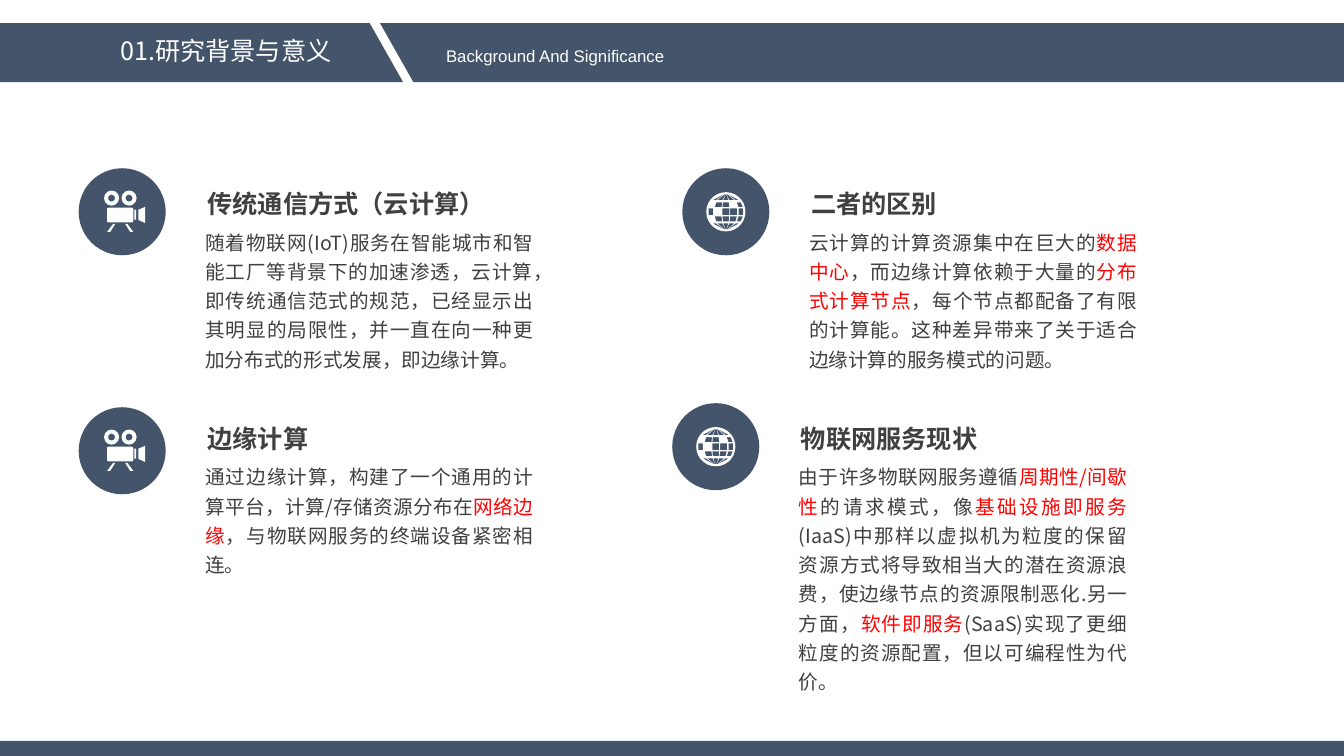
from math import cos, pi, sin, sqrt

from lxml.etree import SubElement
from pptx import Presentation
from pptx.dml.color import RGBColor
from pptx.enum.shapes import MSO_SHAPE
from pptx.enum.text import MSO_ANCHOR, PP_ALIGN
from pptx.oxml.ns import qn
from pptx.util import Pt

NAVY = RGBColor(0x44, 0x54, 0x6A)
WHITE = RGBColor(0xFF, 0xFF, 0xFF)
DARK = RGBColor(0x40, 0x40, 0x40)
RED = RGBColor(0xFF, 0x00, 0x00)
CHINESE_FONT = "Noto Sans CJK SC"

TITLE = "01.研究背景与意义"
SUBTITLE = "Background And Significance"

# Runs at odd positions of a body are highlighted.
SECTIONS = [
    {"icon": "camera", "left": 56.2, "icon_top": 120.2, "text_top": 131,
     "heading": "传统通信方式（云计算）", "height": 111.6,
     "body": ["随着物联网(IoT)服务在智能城市和智能工厂等背景下的加速渗透，云计算，即传统通信范式的规范，"
              "已经显示出其明显的局限性，并一直在向一种更加分布式的形式发展，即边缘计算。"]},
    {"icon": "camera", "left": 56.2, "icon_top": 290.9, "text_top": 298.8,
     "heading": "边缘计算", "height": 90,
     "body": ["通过边缘计算，构建了一个通用的计算平台，计算/存储资源分布在", "网络边缘",
              "，与物联网服务的终端设备紧密相连。"]},
    {"icon": "globe", "left": 487.4, "icon_top": 120.2, "text_top": 131,
     "heading": "二者的区别", "height": 111.6,
     "body": ["云计算的计算资源集中在巨大的", "数据中心", "，而边缘计算依赖于大量的", "分布式计算节点",
              "，每个节点都配备了有限的计算能。这种差异带来了关于适合边缘计算的服务模式的问题。"]},
    {"icon": "globe", "left": 480.2, "icon_top": 288, "text_top": 298.8,
     "heading": "物联网服务现状", "height": 154,
     "body": ["由于许多物联网服务遵循", "周期性/间歇性", "的请求模式，像", "基础设施即服务",
              "(IaaS)中那样以虚拟机为粒度的保留资源方式将导致相当大的潜在资源浪费，"
              "使边缘节点的资源限制恶化.另一方面，", "软件即服务",
              "(SaaS)实现了更细粒度的资源配置，但以可编程性为代价。"]},
]

ICON_SIZE = 62.2
BODY_OFFSET = 83.4
HEADING_OFFSET = 84.9
BODY_DROP = 24.5

# Camera parts, in points from the centre of the icon.
REEL_CORNERS = [(-13, -15.2), (-0.5, -15.2)]
REEL_SIZE = 10.8
LENS = [(16.5, 8), (11.5, 5.8), (11.5, -1.5), (16.5, -3.6)]
LEG = [(-8.6, 14.4), (-10.8, 14.4), (-6.5, 8.6), (-5, 8.6)]
LEG_AXIS = -1.44

# Globe panes: rows in points, columns as shares of the half width at each height.
GLOBE_RADIUS = 14
PANE_RADIUS = 12.6
PANE_ROWS = [(-12.5, -8.3), (-6.8, -3.3), (-2.4, 2.4), (3.3, 6.8), (8.3, 12.5)]
PANE_COLUMNS = [(-1, -0.74), (-0.65, -0.25), (-0.2, 0.2), (0.25, 0.65), (0.74, 1)]
SOLID_PANES = {(1, 0), (1, 3), (2, 1), (3, 0)}
RIM_POINTS = 28


def paint(shape, color):
    shape.shadow.inherit = False
    shape.fill.solid()
    shape.fill.fore_color.rgb = color
    shape.line.fill.background()


def add_preset(shapes, kind, left, top, width, height, color, adjustment=None):
    shape = shapes.add_shape(kind, Pt(left), Pt(top), Pt(width), Pt(height))
    if adjustment is not None:
        shape.adjustments[0] = adjustment
    paint(shape, color)
    return shape


def add_outline(shapes, centre, contours):
    """Draw closed contours, given relative to centre, as one white shape."""
    placed = [[(Pt(centre[0] + x), Pt(centre[1] + y)) for x, y in contour]
              for contour in contours]
    builder = shapes.build_freeform(*placed[0][0])
    for index, points in enumerate(placed):
        if index:
            builder.move_to(*points[0])
        builder.add_line_segments(points[1:], close=True)
    paint(builder.convert_to_shape(), WHITE)


def pane(row, column):
    """Corners of one globe pane, between two parallels and two meridians."""
    left_edge, right_edge = [
        [(share * sqrt(PANE_RADIUS ** 2 - y ** 2), y) for y in row] for share in column]
    return left_edge + right_edge[::-1]


def draw_camera(shapes, centre):
    x, y = centre
    for reel_x, reel_y in REEL_CORNERS:
        add_preset(shapes, MSO_SHAPE.DONUT, x + reel_x, y + reel_y,
                   REEL_SIZE, REEL_SIZE, WHITE, 0.27)
    add_preset(shapes, MSO_SHAPE.ROUNDED_RECTANGLE, x - 10.8, y - 2.9, 18.7, 10.5, WHITE, 0.1)
    add_preset(shapes, MSO_SHAPE.RECTANGLE, x + 8.6, y - 1.5, 1.4, 7.2, WHITE)
    mirrored_leg = [(2 * LEG_AXIS - leg_x, leg_y) for leg_x, leg_y in LEG]
    for part in (LENS, LEG, mirrored_leg):
        add_outline(shapes, centre, [part])


def draw_globe(shapes, centre):
    angles = [2 * pi * step / RIM_POINTS for step in range(RIM_POINTS)]
    rim = [(GLOBE_RADIUS * cos(angle), GLOBE_RADIUS * sin(angle)) for angle in angles]
    panes = [pane(row, column)
             for row_index, row in enumerate(PANE_ROWS)
             for column_index, column in enumerate(PANE_COLUMNS)
             if (row_index, column_index) not in SOLID_PANES]
    add_outline(shapes, centre, [rim] + panes)


def add_text(slide, box, runs, size, font=CHINESE_FONT, frame_format=None, paragraph_format=None):
    """Add a one-paragraph text box; runs are (text, color, bold) tuples."""
    frame = slide.shapes.add_textbox(*[Pt(value) for value in box]).text_frame
    frame_values = {"word_wrap": True, "margin_top": 0, "margin_bottom": 0,
                    "vertical_anchor": MSO_ANCHOR.MIDDLE}
    for name, value in {**frame_values, **(frame_format or {})}.items():
        setattr(frame, name, value)
    paragraph = frame.paragraphs[0]
    for name, value in (paragraph_format or {}).items():
        setattr(paragraph, name, value)
    for text, color, bold in runs:
        run = paragraph.add_run()
        run.text = text
        for name, value in {"name": font, "size": Pt(size), "bold": bold}.items():
            setattr(run.font, name, value)
        run.font.color.rgb = color
        SubElement(run.font._element, qn("a:ea"), typeface=font)


def add_section(slide, section):
    left, top = section["left"], section["icon_top"]
    icon = slide.shapes.add_group_shape().shapes
    add_preset(icon, MSO_SHAPE.OVAL, left, top, ICON_SIZE, ICON_SIZE, NAVY)
    draw = {"camera": draw_camera, "globe": draw_globe}[section["icon"]]
    draw(icon, (left + ICON_SIZE / 2, top + ICON_SIZE / 2))

    text_top = section["text_top"]
    add_text(slide, (left + HEADING_OFFSET, text_top, 216, 28.8),
             [(section["heading"], DARK, True)], 18)
    body_runs = [(text, RED if index % 2 else DARK, False)
                 for index, text in enumerate(section["body"])]
    add_text(slide, (left + BODY_OFFSET, text_top + BODY_DROP, 248.4, section["height"]),
             body_runs, 14,
             frame_format={"vertical_anchor": MSO_ANCHOR.TOP, "margin_top": Pt(5)},
             paragraph_format={"alignment": PP_ALIGN.JUSTIFY, "line_spacing": Pt(20.9)})


def main():
    presentation = Presentation()
    presentation.slide_width, presentation.slide_height = Pt(960), Pt(540)
    slide = presentation.slides.add_slide(presentation.slide_layouts[6])

    for left, width in ((-36, 324), (271.4, 725.8)):
        band = add_preset(slide.shapes, MSO_SHAPE.PARALLELOGRAM,
                          left, 16.5, width, 42.3, NAVY, 0.566)
        band.element.spPr.xfrm.set("flipV", "1")
    add_preset(slide.shapes, MSO_SHAPE.RECTANGLE, 0, 529.2, 960, 10.8, NAVY)

    centred = {"alignment": PP_ALIGN.CENTER}
    add_text(slide, (-33.8, 21.6, 390.2, 28.8), [(TITLE, WHITE, False)], 18,
             paragraph_format=centred)
    add_text(slide, (199, 28.8, 395.3, 21.6), [(SUBTITLE, WHITE, False)], 12, "Arial",
             paragraph_format=centred)
    for section in SECTIONS:
        add_section(slide, section)
    presentation.save("out.pptx")


if __name__ == "__main__":
    main()
